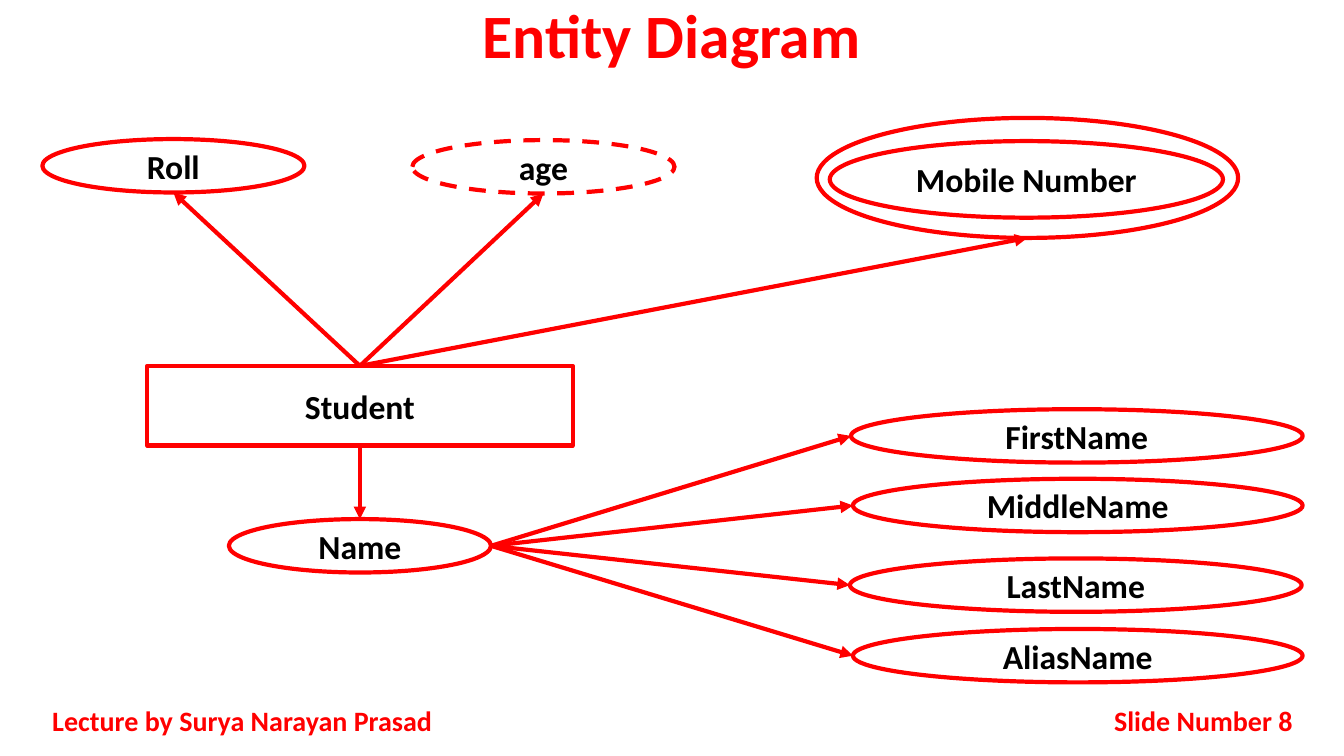
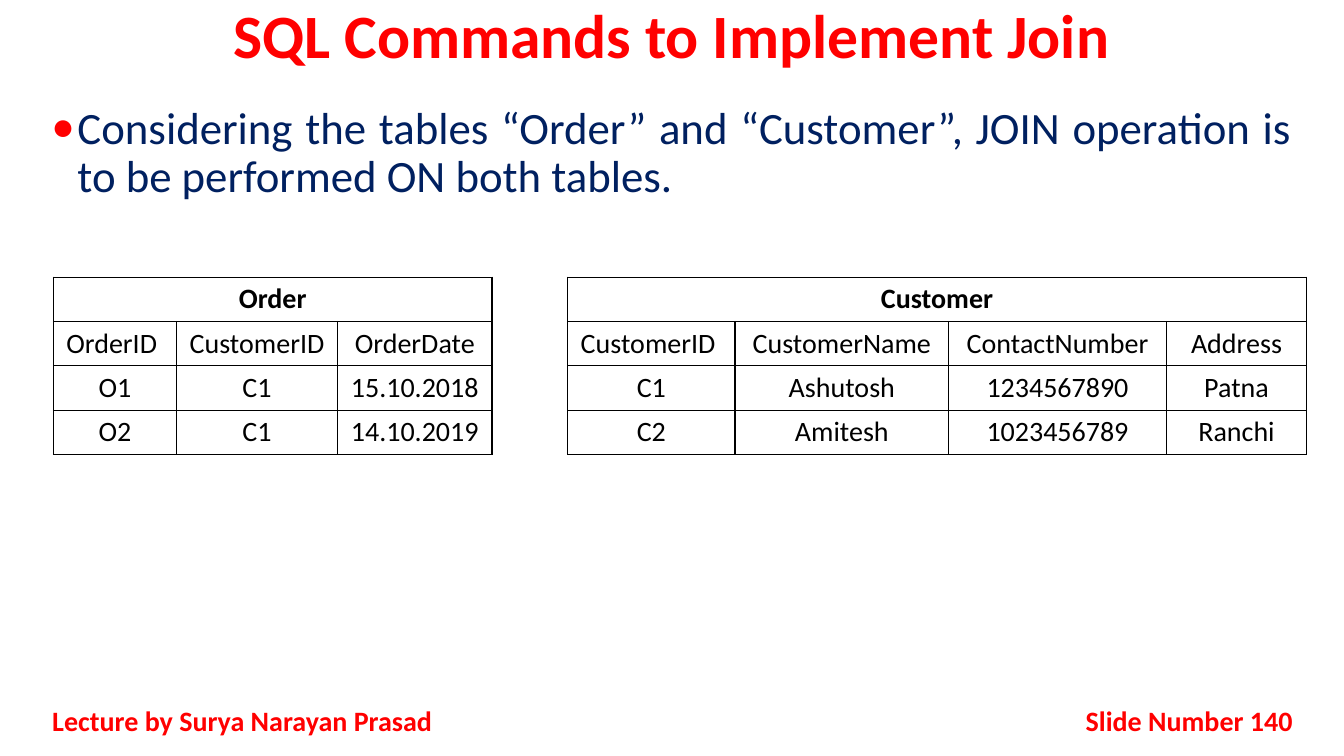
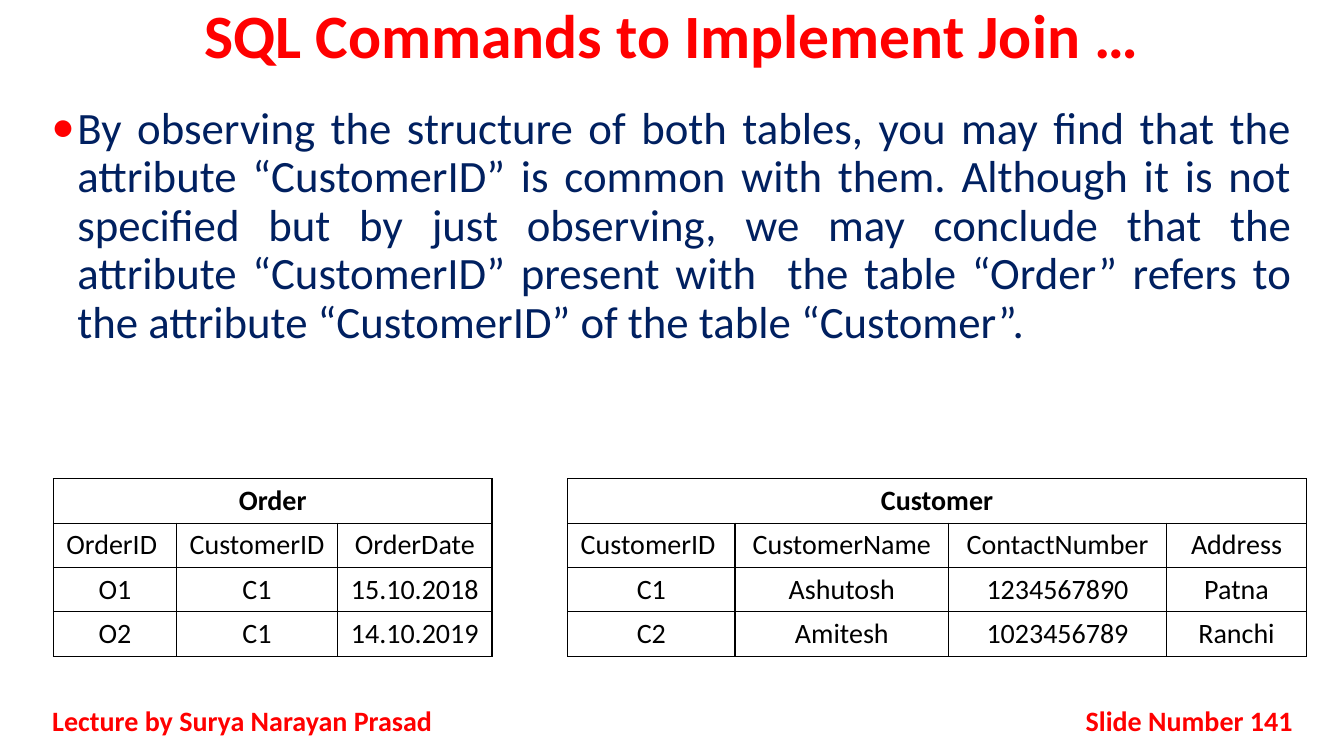
import lxml.etree
import pptx
import pptx.chart.data
import pptx.dml.color
import pptx.enum.dml
import pptx.enum.shapes
import pptx.enum.text
import pptx.oxml.ns
import pptx.util

Inches = pptx.util.Inches
Pt = pptx.util.Pt
ALIGN = pptx.enum.text.PP_ALIGN
ANCHOR = pptx.enum.text.MSO_ANCHOR
SHAPE = pptx.enum.shapes.MSO_SHAPE

FONT = "Calibri"
RED, NAVY, BLACK, WHITE = "FF0000", "002060", "000000", "FFFFFF"
WIDTH, HEIGHT = 13.33, 7.5
MARGIN = 0.42
ROW_HEIGHT = 0.44
LECTURER = "Lecture by Surya Narayan Prasad"

DIAGRAM = {"title": "Entity Diagram", "number": 8}

NODES = {
    "FirstName": (8.44, 4.06, 4.48, 0.53),
    "MiddleName": (8.46, 4.75, 4.46, 0.53),
    "LastName": (8.43, 5.54, 4.48, 0.53),
    "AliasName": (8.46, 6.24, 4.46, 0.53),
    "Student": (1.46, 3.63, 4.22, 0.79),
    "Roll": (0.42, 1.38, 2.6, 0.53),
    "Name": (2.27, 5.15, 2.6, 0.53),
    "age": (4.09, 1.39, 2.6, 0.53),
    "": (8.1, 1.17, 4.18, 1.19),
    "Mobile Number": (8.23, 1.4, 3.9, 0.76),
}
ENTITIES = ["Student"]
DERIVED = ["age"]

ARROWS = [
    ("Student", "top", "Roll", "bottom"),
    ("Student", "top", "age", "bottom"),
    ("Student", "top", "", "bottom"),
    ("Student", "bottom", "Name", "top"),
    ("Name", "right", "FirstName", "left"),
    ("Name", "right", "MiddleName", "left"),
    ("Name", "right", "LastName", "left"),
    ("Name", "right", "AliasName", "left"),
]

SIDES = {"top": (0.5, 0), "bottom": (0.5, 1), "left": (0, 0.5), "right": (1, 0.5)}

TABLES = [
    {
        "name": "Order",
        "left": 0.53,
        "columns": [1.22, 1.6, 1.53],
        "rows": [
            ["OrderID ", "CustomerID", "OrderDate"],
            ["O1", "C1", "15.10.2018"],
            ["O2", "C1", "14.10.2019"],
        ],
    },
    {
        "name": "Customer",
        "left": 5.63,
        "columns": [1.66, 2.12, 2.16, 1.39],
        "rows": [
            ["CustomerID ", "CustomerName", "ContactNumber", "Address"],
            ["C1", "Ashutosh", "1234567890", "Patna"],
            ["C2", "Amitesh", "1023456789", "Ranchi"],
        ],
    },
]

JOINS = [
    {
        "title": "SQL Commands to Implement Join",
        "number": 140,
        "body": "Considering the tables “Order” and “Customer”, JOIN operation is "
        "to be performed ON both tables.",
        "tables_top": 2.75,
    },
    {
        "title": "SQL Commands to Implement Join …",
        "number": 141,
        "body": "By observing the structure of both tables, you may find that the "
        "attribute “CustomerID” is common with them. Although it is not "
        "specified but by just observing, we may conclude that the "
        "attribute “CustomerID” present with  the table “Order” refers to "
        "the attribute “CustomerID” of the table “Customer”.",
        "tables_top": 4.75,
    },
]


def rgb(value):
    return pptx.dml.color.RGBColor.from_string(value)


def add_xml(parent, tag, **attributes):
    element = lxml.etree.SubElement(parent, pptx.oxml.ns.qn(tag))
    for name, value in attributes.items():
        element.set(name, value)
    return element


def write(text_frame, text, size, color, bold=True, align=ALIGN.CENTER):
    text_frame.text = text
    paragraph = text_frame.paragraphs[0]
    paragraph.alignment = align
    for run in paragraph.runs:
        run.font.name = FONT
        run.font.size = Pt(size)
        run.font.bold = bold
        run.font.color.rgb = rgb(color)
    return paragraph


def add_text(slide, box, text, size, color, bold=True, align=ALIGN.CENTER, anchor=ANCHOR.TOP):
    shape = slide.shapes.add_textbox(*map(Inches, box))
    shape.text_frame.word_wrap = True
    shape.text_frame.vertical_anchor = anchor
    return write(shape.text_frame, text, size, color, bold, align)


def add_slide(presentation, content):
    slide = presentation.slides.add_slide(presentation.slide_layouts[6])
    title = add_text(slide, (0, 0, WIDTH, 0.83), content["title"], 44, RED)
    title.line_spacing = 0.9
    footers = [
        (MARGIN, 4.17, LECTURER, ALIGN.JUSTIFY),
        (10.17, 2.75, f"Slide Number {content['number']}", ALIGN.RIGHT),
    ]
    for left, width, text, align in footers:
        add_text(slide, (left, 6.95, width, 0.4), text, 20, RED, True, align, ANCHOR.MIDDLE)
    return slide


def add_node(slide, name):
    preset = SHAPE.RECTANGLE if name in ENTITIES else SHAPE.OVAL
    shape = slide.shapes.add_shape(preset, *map(Inches, NODES[name]))
    shape.shadow.inherit = False
    shape.fill.solid()
    shape.fill.fore_color.rgb = rgb(WHITE)
    shape.line.color.rgb = rgb(RED)
    shape.line.width = Pt(3)
    if name in DERIVED:
        shape.line.dash_style = pptx.enum.dml.MSO_LINE.DASH
    if name:
        shape.text_frame.vertical_anchor = ANCHOR.MIDDLE
        write(shape.text_frame, name, 24, BLACK)


def side_point(name, side):
    left, top, width, height = NODES[name]
    across, down = SIDES[side]
    return Inches(left + across * width), Inches(top + down * height)


def add_arrow(slide, source, source_side, target, target_side):
    connector = slide.shapes.add_connector(
        pptx.enum.shapes.MSO_CONNECTOR.STRAIGHT,
        *side_point(source, source_side),
        *side_point(target, target_side),
    )
    connector.line.color.rgb = rgb(RED)
    connector.line.width = Pt(3)
    add_xml(connector.line._get_or_add_ln(), "a:tailEnd", type="triangle")
    add_xml(connector._element.spPr, "a:effectLst")


def add_bullet(slide, text):
    box = (MARGIN, 1, 12.5, 5.67)
    paragraph = add_text(slide, box, text, 32, NAVY, False, ALIGN.JUSTIFY)
    paragraph.line_spacing = 0.9
    paragraph.space_before = Pt(10)
    properties = paragraph._p.get_or_add_pPr()
    properties.set("marL", str(Inches(0.25)))
    properties.set("indent", str(Inches(-0.25)))
    add_xml(add_xml(properties, "a:buClr"), "a:srgbClr", val=RED)
    add_xml(properties, "a:buSzPct", val="81000")
    add_xml(properties, "a:buFont", typeface=FONT)
    add_xml(properties, "a:buChar", char="●")


def style_cell(cell):
    properties = cell._tc.get_or_add_tcPr()
    for tag in ("a:lnL", "a:lnR", "a:lnT", "a:lnB"):
        line = add_xml(properties, tag, w=str(Pt(1)))
        add_xml(add_xml(line, "a:solidFill"), "a:srgbClr", val=BLACK)
    cell.fill.background()


def add_data_table(slide, content, top):
    columns = content["columns"]
    rows = [[content["name"]] + [""] * (len(columns) - 1)] + content["rows"]
    box = (content["left"], top, sum(columns), ROW_HEIGHT * len(rows))
    table = slide.shapes.add_table(len(rows), len(columns), *map(Inches, box)).table
    table.first_row = False
    table.horz_banding = False
    for column, width in zip(table.columns, columns):
        column.width = Inches(width)
    for row_index, row in enumerate(rows):
        for column_index, text in enumerate(row):
            cell = table.cell(row_index, column_index)
            style_cell(cell)
            if text:
                write(cell.text_frame, text, 20, BLACK, row_index == 0)
    table.cell(0, 0).merge(table.cell(0, len(columns) - 1))


def main():
    presentation = pptx.Presentation()
    presentation.slide_width = Inches(WIDTH)
    presentation.slide_height = Inches(HEIGHT)

    slide = add_slide(presentation, DIAGRAM)
    for name in NODES:
        add_node(slide, name)
    for arrow in ARROWS:
        add_arrow(slide, *arrow)

    for content in JOINS:
        slide = add_slide(presentation, content)
        add_bullet(slide, content["body"])
        for table in TABLES:
            add_data_table(slide, table, content["tables_top"])

    presentation.save("out.pptx")


if __name__ == "__main__":
    main()
